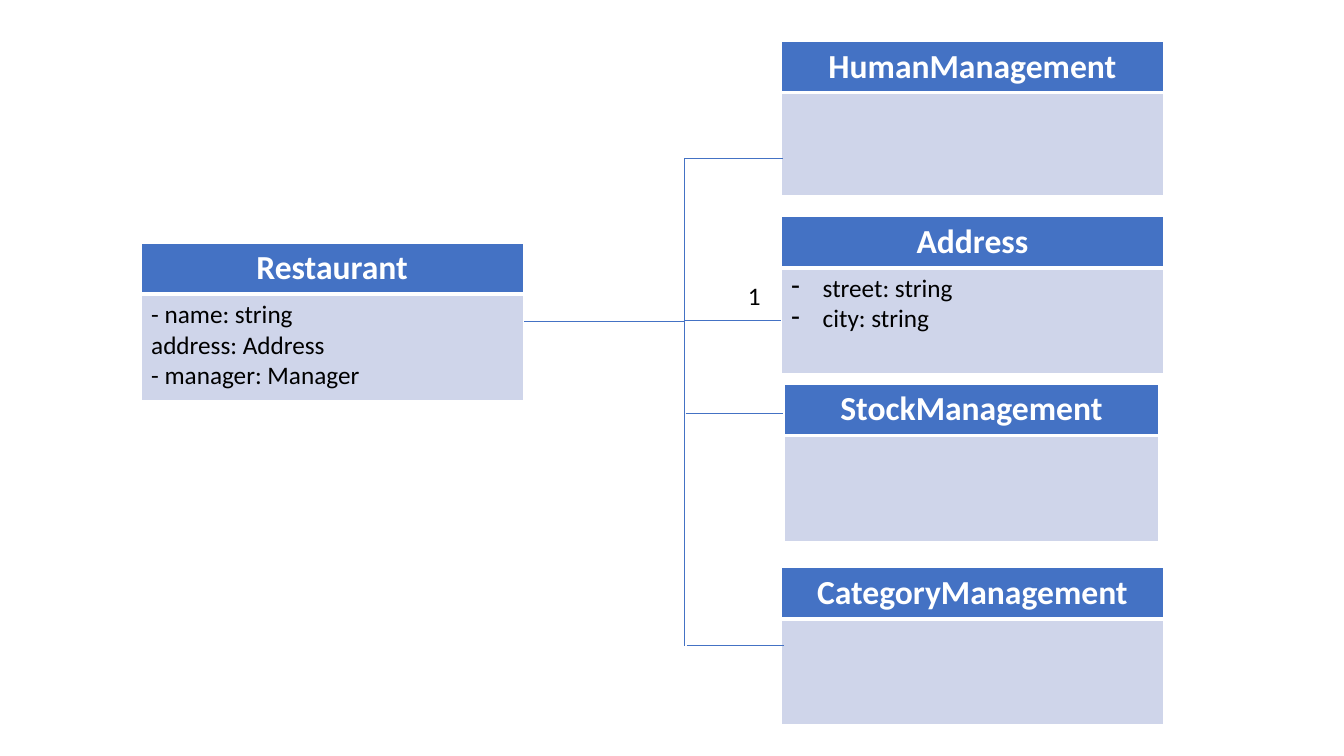
from lxml.etree import SubElement
from pptx import Presentation
from pptx.dml.color import RGBColor
from pptx.enum.shapes import MSO_CONNECTOR
from pptx.enum.text import MSO_AUTO_SIZE, PP_ALIGN
from pptx.oxml.ns import qn
from pptx.util import Inches, Pt

BLUE = RGBColor(0x44, 0x72, 0xC4)
PALE_BLUE = RGBColor(0xCF, 0xD5, 0xEA)
WHITE = RGBColor(0xFF, 0xFF, 0xFF)
BLACK = RGBColor(0x00, 0x00, 0x00)


class ClassDiagram:
    """Draws on one slide; every length is a percentage of the slide's size."""

    font = "Calibri"
    title_size = Pt(24)
    body_size = Pt(18)
    line_width = Pt(0.5)
    indent = Inches(0.31)

    def __init__(self, presentation):
        self.width = presentation.slide_width
        self.height = presentation.slide_height
        self.slide = presentation.slides.add_slide(presentation.slide_layouts[6])

    def x(self, share):
        return round(self.width * share / 100)

    def y(self, share):
        return round(self.height * share / 100)

    def style_text(self, paragraph, size, color, bold=False):
        for run in paragraph.runs:
            run.font.name = self.font
            run.font.size = size
            run.font.bold = bold
            run.font.color.rgb = color

    def style_cell(self, cell, color, top, bottom):
        properties = cell._tc.get_or_add_tcPr()
        for side, points in (("L", 1), ("R", 1), ("T", top), ("B", bottom)):
            border = SubElement(properties, qn(f"a:ln{side}"), w=str(Pt(points)))
            fill = SubElement(border, qn("a:solidFill"))
            SubElement(fill, qn("a:srgbClr"), val=str(WHITE))
        cell.fill.solid()
        cell.fill.fore_color.rgb = color

    def add_dash(self, paragraph):
        properties = paragraph._p.get_or_add_pPr()
        properties.set("marL", str(self.indent))
        properties.set("indent", str(-self.indent))
        SubElement(properties, qn("a:buFontTx"))
        SubElement(properties, qn("a:buChar"), char="-")

    def class_box(self, name, left, top, members=(), dashed=False,
                  width=28.43, rows=(6.8, 14)):
        frame = self.slide.shapes.add_table(
            2, 1, self.x(left), self.y(top), self.x(width), self.y(sum(rows)))
        table = frame.table
        for row, height in zip(table.rows, rows):
            row.height = self.y(height)
        header, body = table.cell(0, 0), table.cell(1, 0)
        self.style_cell(header, BLUE, top=1, bottom=3)
        self.style_cell(body, PALE_BLUE, top=3, bottom=1)

        header.text_frame.text = name
        title = header.text_frame.paragraphs[0]
        title.alignment = PP_ALIGN.CENTER
        self.style_text(title, self.title_size, WHITE, bold=True)

        body.text_frame.text = "\n".join(members)
        for paragraph in body.text_frame.paragraphs:
            self.style_text(paragraph, self.body_size, BLACK)
            if dashed:
                self.add_dash(paragraph)

    def line(self, start_x, start_y, end_x, end_y):
        connector = self.slide.shapes.add_connector(
            MSO_CONNECTOR.STRAIGHT, self.x(start_x), self.y(start_y),
            self.x(end_x), self.y(end_y))
        connector.line.color.rgb = BLUE
        connector.line.width = self.line_width
        SubElement(connector._element.spPr, qn("a:effectLst"))

    def label(self, text, left, top, width, height):
        box = self.slide.shapes.add_textbox(
            self.x(left), self.y(top), self.x(width), self.y(height))
        box.text_frame.word_wrap = True
        box.text_frame.auto_size = MSO_AUTO_SIZE.SHAPE_TO_FIT_TEXT
        box.text_frame.text = text
        self.style_text(box.text_frame.paragraphs[0], self.body_size, BLACK)


def main():
    presentation = Presentation()
    presentation.slide_width = Inches(13.33)
    presentation.slide_height = Inches(7.5)
    diagram = ClassDiagram(presentation)

    # Owning class on the left
    diagram.class_box("Restaurant", 10.5, 32.13, (
        "- name: string", "address: Address", "- manager: Manager"))

    # Related classes on the right
    right = 58.14
    diagram.class_box("HumanManagement", right, 5.47, rows=(6.67, 13.6))
    diagram.class_box("Address", right, 28.67,
                      ("street: string", "city: string"), dashed=True)
    diagram.class_box("StockManagement", 58.36, 50.8, width=27.83)
    diagram.class_box("CategoryManagement", right, 75.07)

    # Trunk, its stem from the owner, and a branch to each class
    trunk = 50.94
    diagram.line(trunk, 20.93, trunk, 85.4)
    diagram.line(39, 42.53, trunk, 42.53)
    for start, end, height in ((trunk, 58.29, 20.93), (50.86, right, 42.4),
                               (51.01, 58.29, 54.67), (51.09, 58.36, 85.33)):
        diagram.line(start, height, end, height)

    # Multiplicity
    diagram.label("1", 54.91, 36.4, 3.38, 5.33)

    presentation.save("out.pptx")


if __name__ == "__main__":
    main()
